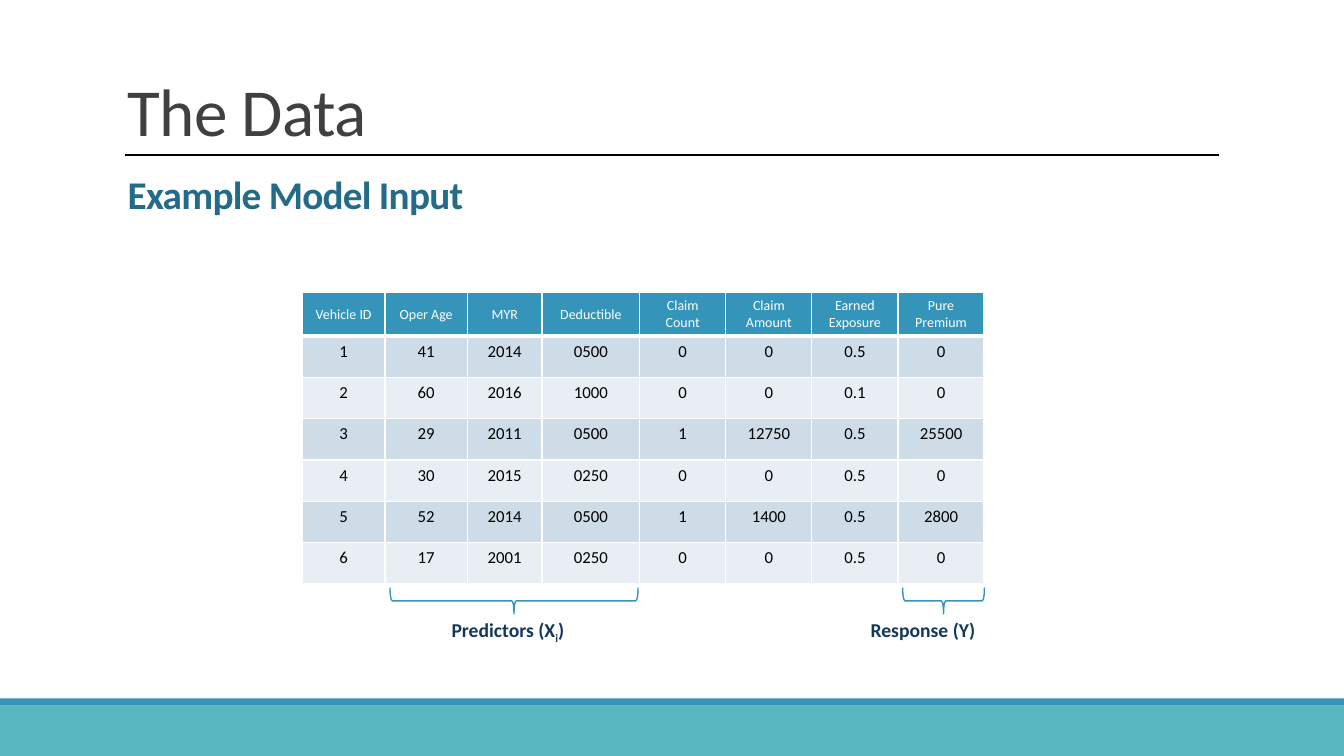
from pptx import Presentation
from pptx.dml.color import RGBColor
from pptx.enum.shapes import MSO_CONNECTOR, MSO_SHAPE
from pptx.enum.text import MSO_ANCHOR, PP_ALIGN
from pptx.oxml.ns import qn
from pptx.util import Cm, Pt
from lxml.etree import SubElement

# Content
TITLE = "The Data"
SUBTITLE = "Example Model Input"
HEADERS = ["Vehicle ID", "Oper Age", "MYR", "Deductible", "Claim Count",
           "Claim Amount", "Earned\nExposure", "Pure Premium"]
ROWS = [
    ("1", "41", "2014", "0500", "0", "0", "0.5", "0"),
    ("2", "60", "2016", "1000", "0", "0", "0.1", "0"),
    ("3", "29", "2011", "0500", "1", "12750", "0.5", "25500"),
    ("4", "30", "2015", "0250", "0", "0", "0.5", "0"),
    ("5", "52", "2014", "0500", "1", "1400", "0.5", "2800"),
    ("6", "17", "2001", "0250", "0", "0", "0.5", "0"),
]
# Label runs with baseline shift, label left and width, brace left and width
GROUPS = [
    ([("Predictors (X", 0), ("i", -25), (")", 0)], 11.13, 3.43, 9.83, 6.25),
    ([("Response (Y)", 0)], 21.69, 3.18, 22.75, 2.06),
]
COLORS = {"title": "404040", "subtitle": "236B88", "label": "12395B",
          "blue": "3494BA", "teal": "58B6C0", "white": "FFFFFF",
          "black": "000000", "dark_band": "CEDCE7", "light_band": "E8EEF3"}

# Layout in centimetres
WIDTH, HEIGHT = 33.87, 19.05
LEFT, TEXT_WIDTH = 2.97, 27.94
RULE_LEFT, RULE_RIGHT, RULE_TOP = 3.15, 30.71, 3.91
TABLE_LEFT, TABLE_TOP, ROW_HEIGHT = 7.62, 7.37, 1.04
COLUMNS = [2.08, 2.08, 1.88, 2.46] + [2.17] * 4
BRACE_TOP, BRACE_DEPTH = 14.81, 0.66
LABEL_TOP, LABEL_HEIGHT = 15.44, 0.86


def color(name):
    return RGBColor.from_string(COLORS[name])


def write(tf, text, size, name, bold=False, align=PP_ALIGN.LEFT,
          anchor=MSO_ANCHOR.TOP, leading=None, spacing=None, wrap=True):
    """Fill a frame from a string, or from a list of (text, baseline) runs."""
    tf.word_wrap = wrap
    tf.vertical_anchor = anchor
    lines = [[(t, 0)] for t in text.split("\n")] if isinstance(text, str) else [text]
    for i, runs in enumerate(lines):
        p = tf.add_paragraph() if i else tf.paragraphs[0]
        p.alignment = align
        if leading:
            p.line_spacing = leading
        for part, baseline in runs:
            r = p.add_run()
            r.text = part
            r.font.name, r.font.size, r.font.bold = "Calibri", Pt(size), bold
            r.font.color.rgb = color(name)
            if spacing:
                r.font._element.set("spc", str(int(spacing * 100)))
            if baseline:
                r.font._element.set("baseline", str(baseline * 1000))


def add_text(left, top, width, height, text, size, name, **fmt):
    box = s.shapes.add_textbox(Cm(left), Cm(top), Cm(width), Cm(height))
    write(box.text_frame, text, size, name, **fmt)


def add_bar(top, height, name):
    sp = s.shapes.add_shape(MSO_SHAPE.RECTANGLE, 0, Cm(top), Cm(WIDTH), Cm(height))
    sp.shadow.inherit = False
    sp.fill.solid()
    sp.fill.fore_color.rgb = color(name)
    sp.line.fill.background()


def add_brace(left, width):
    # The upright brace is turned about its centre to open upwards
    x = left + (width - BRACE_DEPTH) / 2
    y = BRACE_TOP + (BRACE_DEPTH - width) / 2
    sp = s.shapes.add_shape(MSO_SHAPE.LEFT_BRACE, Cm(x), Cm(y),
                            Cm(BRACE_DEPTH), Cm(width))
    sp.rotation = 270
    sp.shadow.inherit = False
    sp.fill.background()
    sp.line.color.rgb = color("blue")
    sp.line.width = Pt(1)


def format_cell(cell, fill, bottom=1):
    tcPr = cell._tc.get_or_add_tcPr()
    for side, width in (("L", 1), ("R", 1), ("T", 1), ("B", bottom)):
        ln = SubElement(tcPr, qn("a:ln" + side), w=str(Pt(width)))
        SubElement(SubElement(ln, qn("a:solidFill")), qn("a:srgbClr"),
                   val=COLORS["white"])
    cell.fill.solid()
    cell.fill.fore_color.rgb = color(fill)


prs = Presentation()
prs.slide_width, prs.slide_height = Cm(WIDTH), Cm(HEIGHT)
s = prs.slides.add_slide(prs.slide_layouts[5])

# Footer bars
add_bar(17.78, 1.27, "teal")
add_bar(17.6, 0.18, "blue")

# Title, subtitle and rule
title = s.shapes.title
title.left, title.top = Cm(LEFT), Cm(1.73)
title.width, title.height = Cm(TEXT_WIDTH), Cm(2.18)
write(title.text_frame, TITLE, 48, "title", anchor=MSO_ANCHOR.BOTTOM,
      leading=0.85, spacing=-0.5)
add_text(LEFT, 4.45, TEXT_WIDTH, 1.27, SUBTITLE, 28, "subtitle", bold=True,
         leading=0.75, spacing=-0.5)
rule = s.shapes.add_connector(MSO_CONNECTOR.STRAIGHT, Cm(RULE_LEFT), Cm(RULE_TOP),
                              Cm(RULE_RIGHT), Cm(RULE_TOP))
rule.line.color.rgb = color("black")
rule.line.width = Pt(1)
SubElement(rule._element.spPr, qn("a:effectLst"))

# Table
table = s.shapes.add_table(len(ROWS) + 1, len(HEADERS), Cm(TABLE_LEFT), Cm(TABLE_TOP),
                           Cm(sum(COLUMNS)), Cm(ROW_HEIGHT * (len(ROWS) + 1))).table
for column, width in zip(table.columns, COLUMNS):
    column.width = Cm(width)
for i, values in enumerate([HEADERS] + ROWS):
    table.rows[i].height = Cm(ROW_HEIGHT)
    for j, value in enumerate(values):
        cell = table.cell(i, j)
        if i == 0:
            format_cell(cell, "blue", bottom=3)
            write(cell.text_frame, value, 10, "white", align=PP_ALIGN.CENTER)
            cell.vertical_anchor = MSO_ANCHOR.MIDDLE
        else:
            format_cell(cell, "dark_band" if i % 2 else "light_band")
            write(cell.text_frame, value, 12, "black", align=PP_ALIGN.CENTER)

# Braces and labels under the column groups
for runs, label_left, label_width, brace_left, brace_width in GROUPS:
    add_brace(brace_left, brace_width)
    add_text(label_left, LABEL_TOP, label_width, LABEL_HEIGHT, runs, 14, "label",
             bold=True, wrap=False)

prs.save("out.pptx")
